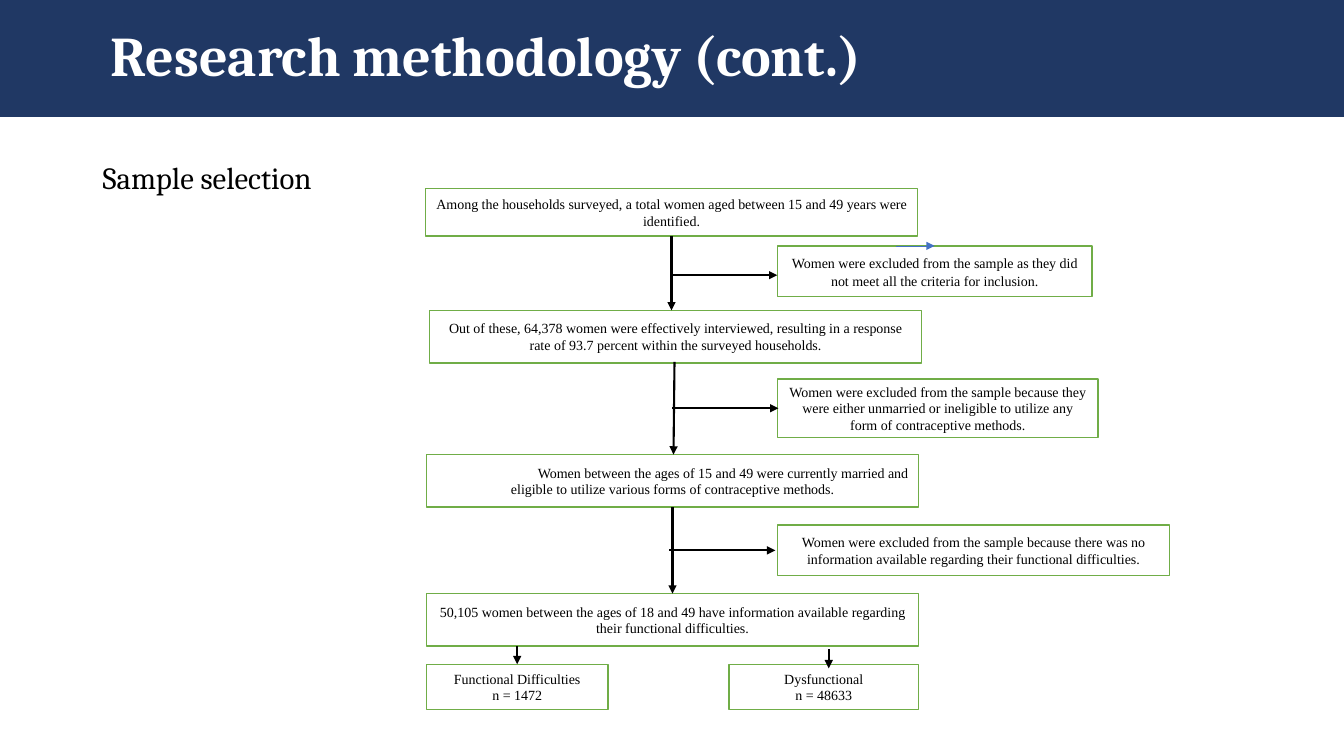
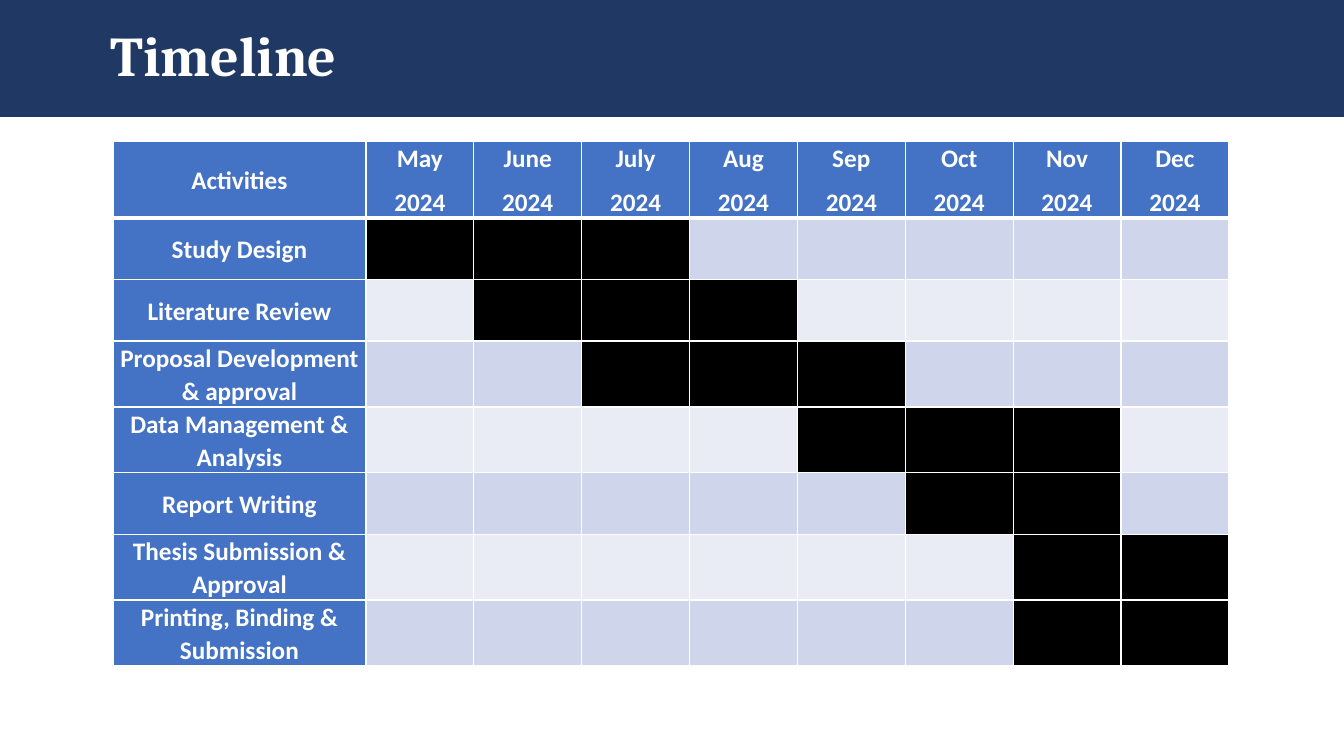
from lxml import etree
from pptx import Presentation
from pptx import util as u
from pptx.dml.color import RGBColor
from pptx.enum import shapes, text
from pptx.oxml.ns import qn


class Theme:
    navy = RGBColor.from_string("203864")
    blue = RGBColor.from_string("4472C4")
    green = RGBColor.from_string("70AD47")
    white = RGBColor.from_string("FFFFFF")
    black = RGBColor.from_string("000000")
    bands = [RGBColor.from_string(code) for code in ("CFD5EA", "E9EBF5")]
    left = {"alignment": text.PP_ALIGN.LEFT, "line_spacing": 0.9}
    mid = {"alignment": text.PP_ALIGN.CENTER}
    grid = {**mid, "line_spacing": 1.07, "space_after": u.Pt(8)}
    title = {"name": "Cambria", "size": u.Pt(40), "bold": True}
    lead = {"name": "Cambria", "size": u.Pt(22)}
    note = {"name": "Times New Roman", "size": u.Pt(10)}
    label = {"name": "Calibri", "size": u.Pt(18), "bold": True}


PX = 9144
WIDTH, HEIGHT = 1333, 750


def scale(*sizes):
    return [size * PX for size in sizes]


def write(frame, words, font, para, color):
    frame.word_wrap = True
    frame.vertical_anchor = text.MSO_ANCHOR.MIDDLE
    for i, line in enumerate(words.split("\n")):
        part = frame.add_paragraph() if i else frame.paragraphs[0]
        run = part.add_run()
        run.text = line
        run.font.color.rgb = color
        for item, looks in ((part, para), (run.font, font)):
            for key, value in looks.items():
                setattr(item, key, value)


deck = Presentation()
deck.slide_width, deck.slide_height = scale(WIDTH, HEIGHT)

pages = []
for name in ("Research methodology (cont.)", "Timeline"):
    page = deck.slides.add_slide(deck.slide_layouts[5])
    head = page.shapes.title
    head.left, head.top, head.width, head.height = scale(0, -1, WIDTH, 117)
    head.fill.solid()
    head.fill.fore_color.rgb = Theme.navy
    head.text_frame.margin_left = 110 * PX
    write(head.text_frame, name, Theme.title, Theme.left, Theme.white)
    pages.append(page)
flow, plan = pages

lead = flow.shapes.add_textbox(*scale(92, 157, 300, 42))
write(lead.text_frame, "Sample selection", Theme.lead, Theme.left, Theme.black)

INDENT = 100
boxes = [
    (422, 187, 488, 47, 1, 0, "Among the households surveyed, a total women aged between 15 and 49 years were identified."),
    (426, 308, 488, 52, 1, 0, "Out of these, 64,378 women were effectively interviewed, resulting in a response rate of 93.7 percent within the surveyed households."),
    (423, 451, 488, 52, 1, INDENT, "Women between the ages of 15 and 49 were currently married and eligible to utilize various forms of contraceptive methods."),
    (423, 589, 488, 52, 1, 0, "50,105 women between the ages of 18 and 49 have information available regarding their functional difficulties."),
    (771, 244, 312, 50, 1.07, 0, "Women were excluded from the sample as they did not meet all the criteria for inclusion."),
    (771, 376, 318, 58, 1, 0, "Women were excluded from the sample because they were either unmarried or ineligible to utilize any form of contraceptive methods."),
    (771, 521, 389, 50, 1, 0, "Women were excluded from the sample because there was no information available regarding their functional difficulties."),
    (423, 659, 180, 45, 1, 0, "Functional Difficulties\nn = 1472"),
    (723, 659, 188, 45, 1, 0, "Dysfunctional\nn = 48633"),
]
for x, y, wide, high, space, indent, words in boxes:
    box = flow.shapes.add_shape(shapes.MSO_SHAPE.RECTANGLE, *scale(x, y, wide, high))
    box.shadow.inherit = False
    box.fill.solid()
    box.fill.fore_color.rgb = Theme.white
    box.line.color.rgb = Theme.green
    box.line.width = u.Pt(1)
    para = {**Theme.mid, "line_spacing": space}
    write(box.text_frame, words, Theme.note, para, Theme.black)
    if indent:
        props = box.text_frame.paragraphs[0]._p.get_or_add_pPr()
        props.set("indent", str(indent * PX))

arrows = [
    (666, 234, 666, 308, Theme.black, 1.5),
    (669, 359, 668, 451, Theme.black, 1.5),
    (667, 503, 667, 589, Theme.black, 1.5),
    (513, 641, 513, 659, Theme.black, 1.5),
    (822, 644, 822, 663, Theme.black, 1.5),
    (889, 244, 927, 244, Theme.blue, 0.5),
    (666, 273, 771, 273, Theme.black, 1.5),
    (667, 405, 772, 405, Theme.black, 1.5),
    (664, 546, 769, 546, Theme.black, 1.5),
]
for *ends, color, weight in arrows:
    arrow = flow.shapes.add_connector(shapes.MSO_CONNECTOR.STRAIGHT, *scale(*ends))
    arrow.line.color.rgb = color
    arrow.line.width = u.Pt(weight)
    etree.SubElement(arrow.line._get_or_add_ln(), qn("a:tailEnd"), type="triangle")
    etree.SubElement(arrow._element.spPr, qn("a:effectLst"))

months = ["May", "June", "July", "Aug", "Sep", "Oct", "Nov", "Dec"]
tasks = [
    ("Study Design", "May", "July"),
    ("Literature Review", "June", "Aug"),
    ("Proposal Development & approval", "July", "Sep"),
    ("Data Management & Analysis", "Sep", "Nov"),
    ("Report Writing", "Oct", "Nov"),
    ("Thesis Submission & Approval", "Nov", "Dec"),
    ("Printing, Binding & Submission", "Nov", "Dec"),
]
heads = ["Activities"] + [f"{month}\n2024" for month in months]
rows, cols = len(tasks) + 1, len(heads)
table = plan.shapes.add_table(rows, cols, *scale(112, 140, 1105, 492)).table
for i, col in enumerate(table.columns):
    col.width = (107 if i else 251) * PX
for i, row in enumerate(table.rows):
    row.height = (61 if i else 65) * PX

for r in range(rows):
    for c in range(cols):
        cell = table.cell(r, c)
        for side in ("left", "top", "right", "bottom"):
            setattr(cell, f"margin_{side}", 0)
            thick = (r, side) in ((0, "bottom"), (1, "top"))
            edge = etree.SubElement(
                cell._tc.get_or_add_tcPr(), qn(f"a:ln{side[0].upper()}"),
                w=str(u.Pt(3 if thick else 1)))
            paint = etree.SubElement(edge, qn("a:solidFill"))
            etree.SubElement(paint, qn("a:srgbClr"), val=str(Theme.white))
        if r == 0 or c == 0:
            fill = Theme.blue
            words = tasks[r - 1][0] if r else heads[c]
            cell.vertical_anchor = text.MSO_ANCHOR.MIDDLE
            write(cell.text_frame, words, Theme.label, Theme.grid, Theme.white)
        else:
            start, end = map(months.index, tasks[r - 1][1:])
            fill = Theme.black if start <= c - 1 <= end else Theme.bands[(r - 1) % 2]
        cell.fill.solid()
        cell.fill.fore_color.rgb = fill

deck.save("out.pptx")
